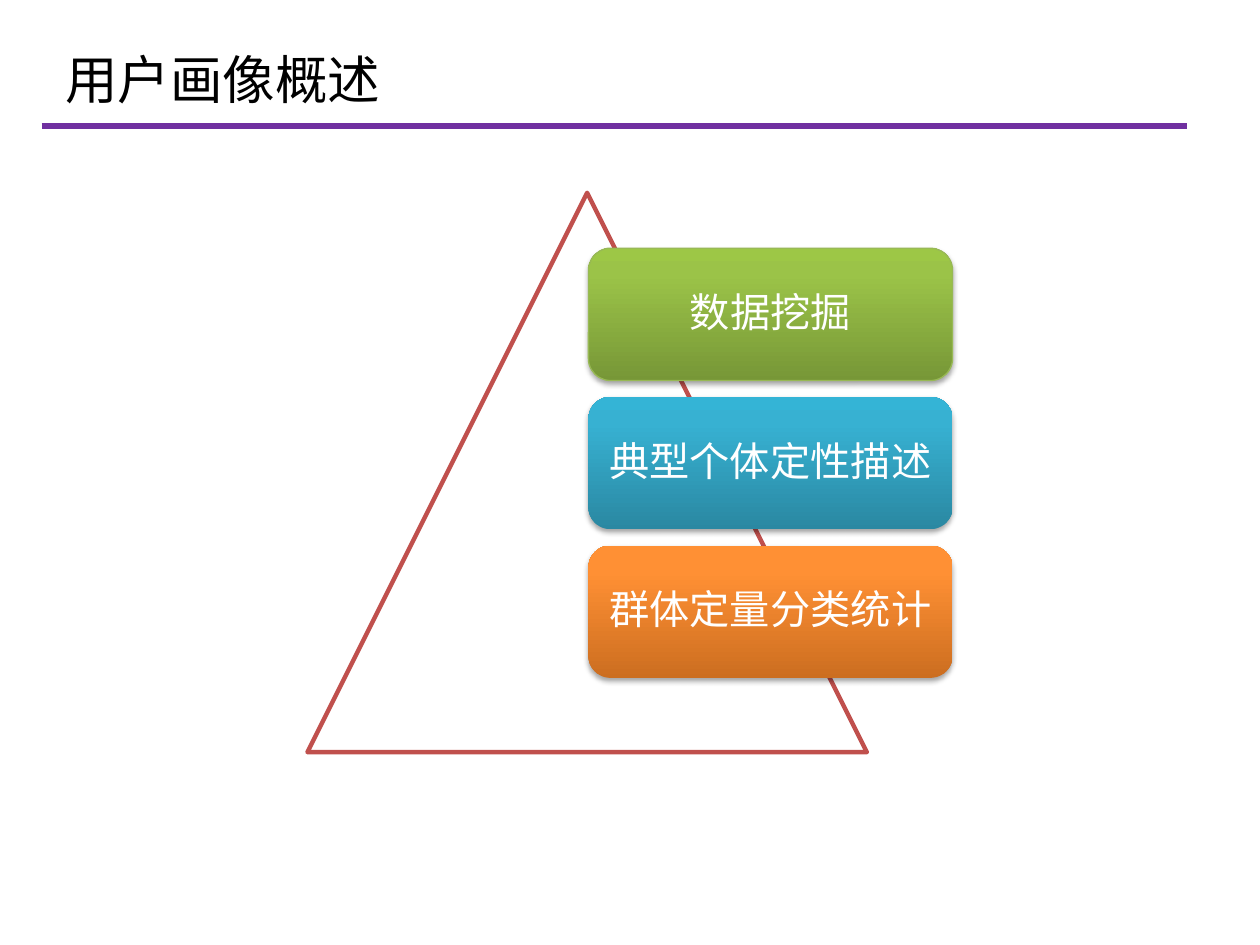
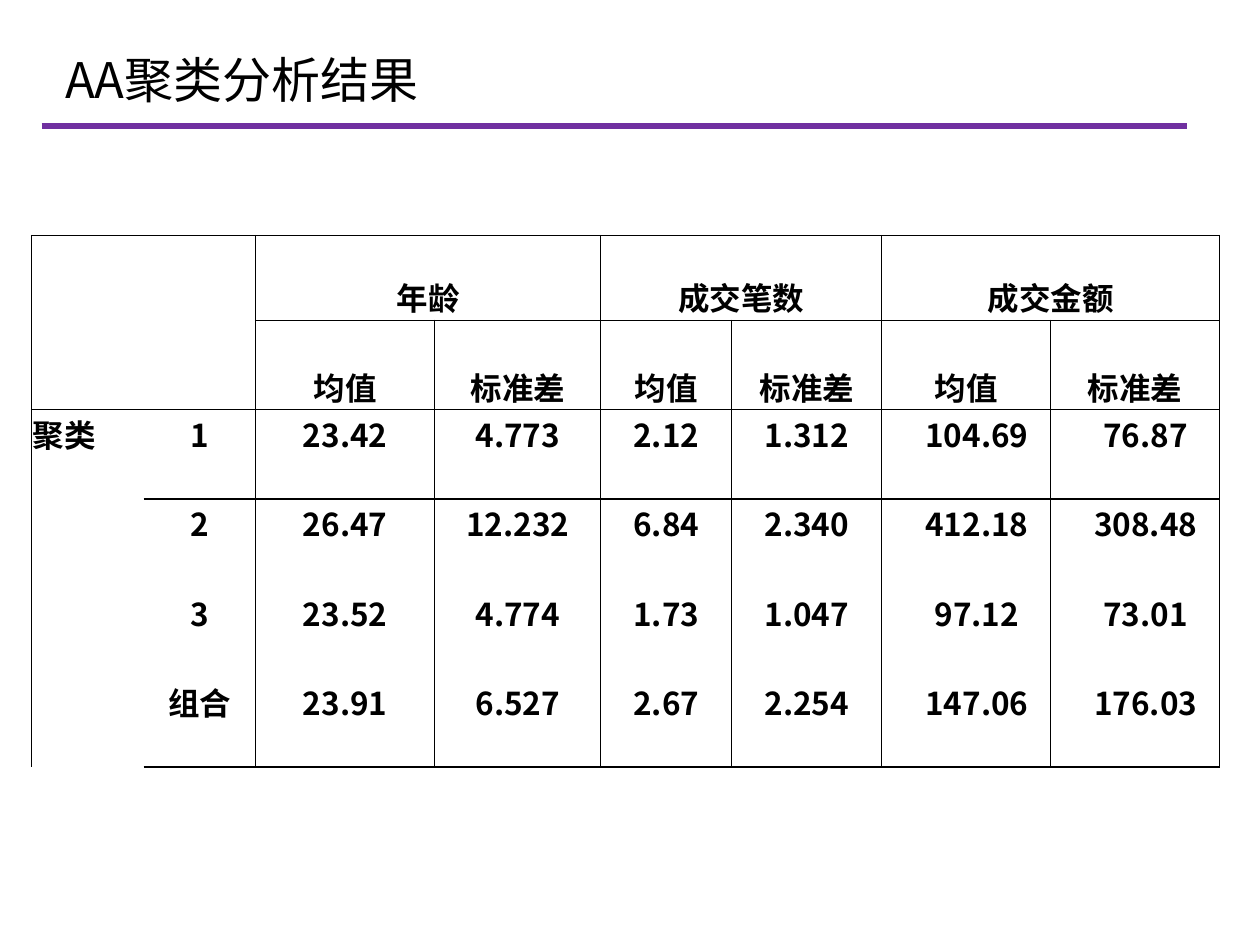
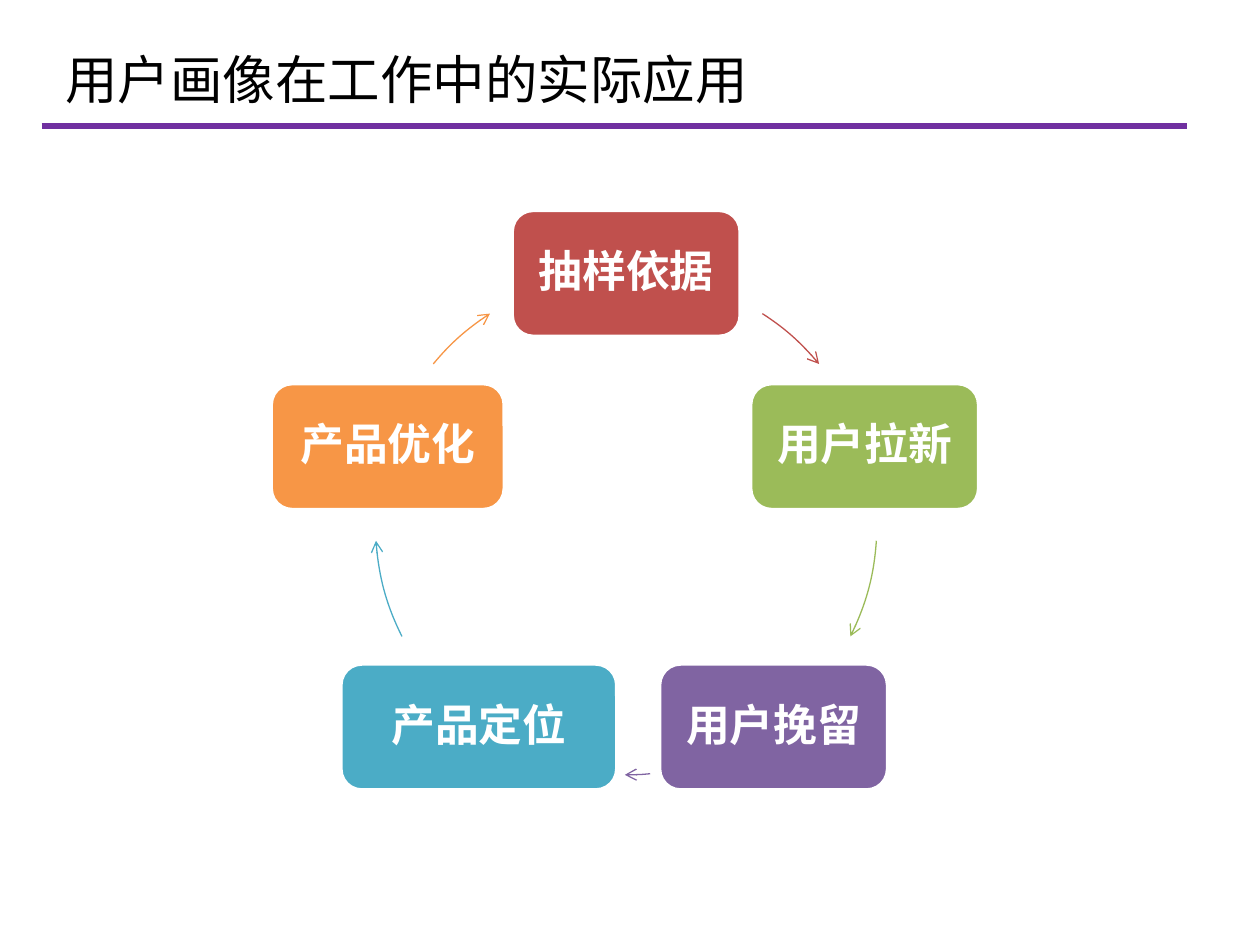
from copy import deepcopy
from math import cos, radians, sin

from lxml import etree
from pptx import Presentation
from pptx.dml.color import RGBColor
from pptx.enum.shapes import MSO_CONNECTOR, MSO_SHAPE
from pptx.enum.text import MSO_ANCHOR, PP_ALIGN
from pptx.oxml.ns import qn
from pptx.util import Inches, Pt

STRAIGHT = MSO_CONNECTOR.STRAIGHT
TRIANGLE = MSO_SHAPE.ISOSCELES_TRIANGLE
ROUNDED = MSO_SHAPE.ROUNDED_RECTANGLE
ARC = MSO_SHAPE.ARC
TOP, MIDDLE, BOTTOM = MSO_ANCHOR.TOP, MSO_ANCHOR.MIDDLE, MSO_ANCHOR.BOTTOM
LEFT, CENTER = PP_ALIGN.LEFT, PP_ALIGN.CENTER

FONT = "Noto Sans CJK SC"
BLACK, WHITE = "000000", "FFFFFF"
RED, GREEN, PURPLE = "C0504D", "9BBB59", "8064A2"
TEAL, ORANGE = "4BACC6", "F79646"
TITLE_RULE = "7030A0"
PLAIN_TABLE_STYLE = "{2D5ABB26-0587-4C30-8999-92F81FD0307C}"

# Text, gradient from bottom to top, outline
PYRAMID_LEVELS = [
    ("数据挖掘", ("779737", "9BC348", "9DC746"), "98B955"),
    ("典型个体定性描述", ("2A88A2", "37B1D2", "34B4D6"), None),
    ("群体定量分类统计", ("CC6E20", "FF9034", "FF9136"), None),
]
GRADIENT_POSITIONS = (0, 0.8, 1)

COLUMN_WIDTHS = [0.89, 0.89, 1.42, 1.32, 1.04, 1.19, 1.34, 1.34]
ROW_HEIGHTS = [0.67] + [0.71] * 5
MEASURES = ["年龄", "成交笔数", "成交金额"]
CLUSTER_ROWS = [
    ["1", "23.42", "4.773", "2.12", "1.312", "104.69", "76.87"],
    ["2", "26.47", "12.232", "6.84", "2.340", "412.18", "308.48"],
    ["3", "23.52", "4.774", "1.73", "1.047", "97.12", "73.01"],
    ["组合", "23.91", "6.527", "2.67", "2.254", "147.06", "176.03"],
]
HEADER_ROWS, LABEL_COLUMNS, AMOUNT_COLUMN = 2, 2, 6
# Border widths at each column and row boundary, 0 for none
COLUMN_RULES = [1, 0, 1, 0.5, 0.5, 0.5, 0.5, 0.5, 1]
ROW_RULES = [1, 0.5, 1, 0, 0, 0, 1]

# Text, colour, width, start and end angle of the arrow that follows
CYCLE_STEPS = [
    ("抽样依据", RED, 1.81, 302.9, 320.3),
    ("用户拉新", GREEN, 1.81, 3.8, 26.6),
    ("用户挽留", PURPLE, 1.81, 84.5, 90.3),
    ("产品定位", TEAL, 2.19, 153.4, 176.2),
    ("产品优化", ORANGE, 1.85, 219.7, 237.1),
]


def color(value):
    return RGBColor.from_string(value)


def inches(*lengths):
    return [Inches(length) for length in lengths]


def set_margins(target, left, top, right, bottom):
    target.margin_left, target.margin_top = inches(left, top)
    target.margin_right, target.margin_bottom = inches(right, bottom)


def write(frame, text, size, ink, bold=False, align=LEFT):
    para = frame.paragraphs[0]
    para.alignment = align
    span = para.add_run()
    span.text = text
    span.font.size = Pt(size)
    span.font.bold = bold
    span.font.name = FONT
    span.font.color.rgb = color(ink)
    east_asian = etree.SubElement(span.font._element, qn("a:ea"))
    east_asian.set("typeface", FONT)
    return para


def set_line(line, ink, width):
    line.color.rgb = color(ink)
    line.width = Pt(width)


def add_shape(page, kind, box, fill=None, outline=None, width=1):
    shape = page.shapes.add_shape(kind, *inches(*box))
    shape.shadow.inherit = False
    if fill:
        shape.fill.solid()
        shape.fill.fore_color.rgb = color(fill)
    else:
        shape.fill.background()
    if outline:
        set_line(shape.line, outline, width)
    else:
        shape.line.fill.background()
    return shape


def label_box(shape, text, size, bold=False):
    frame = shape.text_frame
    frame.word_wrap = True
    frame.vertical_anchor = MIDDLE
    set_margins(frame, 0.05, 0.05, 0.05, 0.05)
    para = write(frame, text, size, WHITE, bold, CENTER)
    para.line_spacing = 0.9
    para.space_after = Pt(size * 0.35)


def add_gradient(shape, colors):
    """Fill the shape from bottom to top."""
    shape.fill.gradient()
    shape.fill.gradient_angle = 90
    stop_list = shape._element.spPr.find(".//" + qn("a:gsLst"))
    stop_list.append(deepcopy(stop_list[0]))
    for stop, value, position in zip(shape.fill.gradient_stops, colors, GRADIENT_POSITIONS):
        stop.color.rgb = color(value)
        stop.position = position


def add_drop_shadow(shape):
    effects = shape._element.spPr.find(qn("a:effectLst"))
    shadow = etree.SubElement(
        effects, qn("a:outerShdw"), blurRad=str(Pt(3.1)), dist=str(Pt(1.8)),
        dir="5400000", rotWithShape="0")
    ink = etree.SubElement(shadow, qn("a:srgbClr"), val=BLACK)
    etree.SubElement(ink, qn("a:alpha"), val="35000")


def add_page(deck, title, size=30):
    page = deck.slides.add_slide(deck.slide_layouts[6])
    rule = page.shapes.add_connector(STRAIGHT, *inches(0.33, 1, 9.42, 1))
    set_line(rule.line, TITLE_RULE, 3.75)
    etree.SubElement(rule._element.spPr, qn("a:effectLst"))
    frame = page.shapes.add_textbox(*inches(0.42, 0, 9, 1.25)).text_frame
    frame.word_wrap = True
    frame.vertical_anchor = MIDDLE
    write(frame, title, size, BLACK)
    return page


def draw_pyramid(page, left, top, side):
    add_shape(page, TRIANGLE, (left, top, side, side), WHITE, RED, 2.5)
    height, pitch = 1.05, 1.18
    for index, (text, colors, outline) in enumerate(PYRAMID_LEVELS):
        box = (left + side / 2 + 0.01, top + 0.44 + index * pitch, 2.89, height)
        level = add_shape(page, ROUNDED, box, outline=outline, width=0.75)
        add_gradient(level, colors)
        add_drop_shadow(level)
        label_box(level, text, 23)


def draw_borders(cell, row, column):
    has_top = row != 1 or column >= LABEL_COLUMNS
    has_bottom = row != 0 or column >= LABEL_COLUMNS
    widths = {
        "a:lnL": COLUMN_RULES[column],
        "a:lnR": COLUMN_RULES[column + 1],
        "a:lnT": ROW_RULES[row] * has_top,
        "a:lnB": ROW_RULES[row + 1] * has_bottom,
    }
    properties = cell._tc.get_or_add_tcPr()
    for tag, width in widths.items():
        if width:
            border = etree.SubElement(properties, qn(tag), w=str(Pt(width)))
            fill = etree.SubElement(border, qn("a:solidFill"))
            etree.SubElement(fill, qn("a:srgbClr"), val=BLACK)


def table_texts():
    """Give the wording of the grid, with empty strings for blank cells."""
    measures = ["", ""]
    for measure in MEASURES:
        measures += [measure, ""]
    statistics = ["", ""] + ["均值", "标准差"] * len(MEASURES)
    clusters = [[""] + values for values in CLUSTER_ROWS]
    clusters[0][0] = "聚类"
    return [measures, statistics] + clusters


def draw_cluster_table(page, left, top):
    box = (left, top, sum(COLUMN_WIDTHS), sum(ROW_HEIGHTS))
    table = page.shapes.add_table(
        len(ROW_HEIGHTS), len(COLUMN_WIDTHS), *inches(*box)).table
    table.first_row = table.horz_banding = False
    table._tbl.tblPr.find(qn("a:tableStyleId")).text = PLAIN_TABLE_STYLE
    for column, width in zip(table.columns, COLUMN_WIDTHS):
        column.width = Inches(width)
    for row, height in zip(table.rows, ROW_HEIGHTS):
        row.height = Inches(height)

    for row, texts in enumerate(table_texts()):
        is_header = row < HEADER_ROWS
        for column, text in enumerate(texts):
            cell = table.cell(row, column)
            is_amount = not is_header and column >= AMOUNT_COLUMN
            set_margins(cell, 0.18 if is_amount else 0.01, 0.01, 0.01, 0)
            cell.vertical_anchor = BOTTOM if is_header else TOP
            draw_borders(cell, row, column)
            cell.fill.background()
            if text:
                write(cell.text_frame, text, 18, BLACK, True, CENTER if column else LEFT)

    for column in range(LABEL_COLUMNS, len(COLUMN_WIDTHS), 2):
        table.cell(0, column).merge(table.cell(0, column + 1))
    table.cell(HEADER_ROWS, 0).merge(table.cell(len(ROW_HEIGHTS) - 1, 0))


def add_arc_arrow(page, box, start, end, ink):
    """Draw a clockwise arrow along the circle in the box; angles in degrees."""
    arrow = add_shape(page, ARC, box, outline=ink, width=0.75)
    for index, angle in enumerate((start, end)):
        arrow.adjustments[index] = angle * 0.6  # 60000ths of a degree over 100000
    outline = arrow._element.spPr.find(qn("a:ln"))
    etree.SubElement(outline, qn("a:tailEnd"), type="arrow")


def draw_cycle(page, left, top, diameter):
    radius, height = diameter / 2, 1
    for index, (text, fill, width, start, end) in enumerate(CYCLE_STEPS):
        angle = radians(index * 360 / len(CYCLE_STEPS) - 90)
        center_x = left + radius * (1 + cos(angle))
        center_y = top + radius * (1 + sin(angle))
        box = (center_x - width / 2, center_y - height / 2, width, height)
        step = add_shape(page, ROUNDED, box, fill, WHITE, 2)
        label_box(step, text, 25, True)
        add_arc_arrow(page, (left, top, diameter, diameter), start, end, fill)


def main():
    deck = Presentation()
    deck.slide_width, deck.slide_height = inches(10, 7.5)
    draw_pyramid(add_page(deck, "用户画像概述"), 2.44, 1.53, 4.44)
    draw_cluster_table(add_page(deck, "AA聚类分析结果", 28), 0.25, 1.87)
    draw_cycle(add_page(deck, "用户画像在工作中的实际应用"), 2.98, 2.17, 3.98)
    deck.save("out.pptx")


if __name__ == "__main__":
    main()
